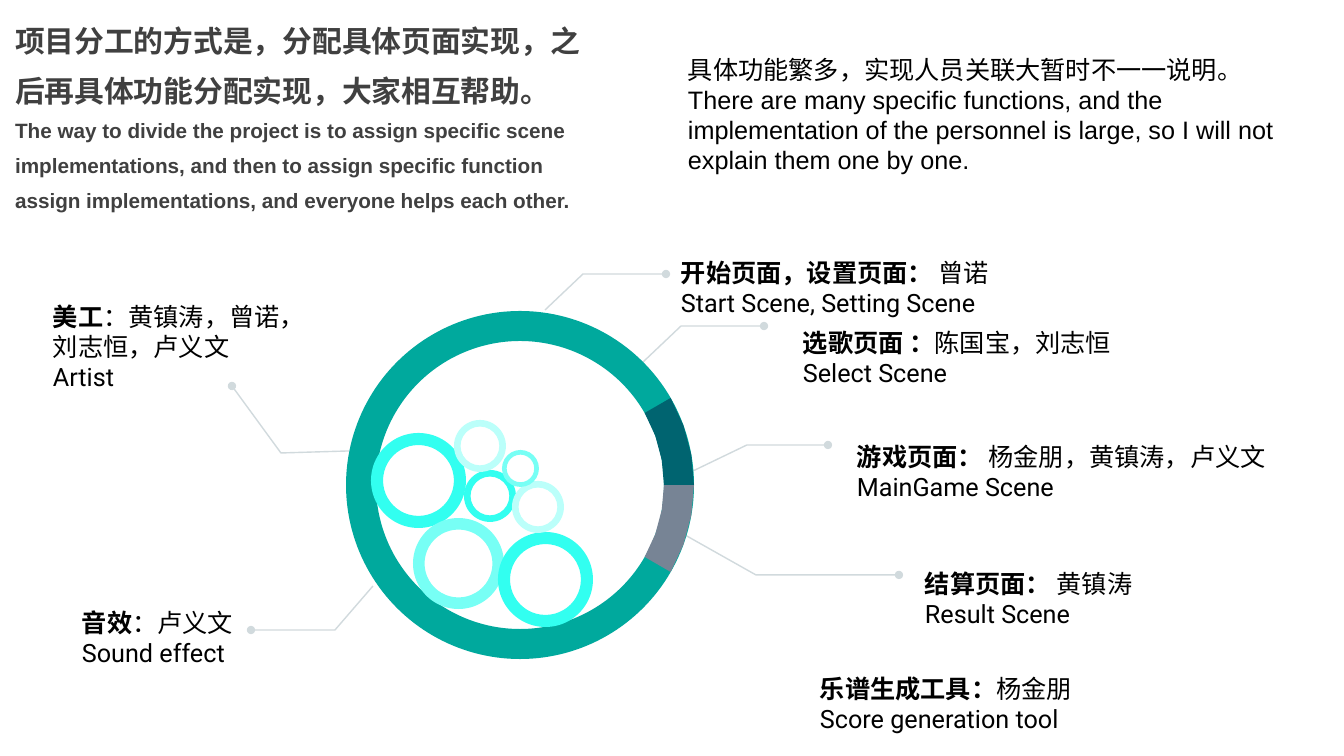
"""Build the slide that shows how scenes and tasks are divided among the team."""
from math import cos, radians, sin

from lxml.etree import SubElement
from pptx import Presentation
from pptx.dml.color import RGBColor
from pptx.enum.shapes import MSO_SHAPE
from pptx.enum.text import MSO_ANCHOR, MSO_AUTO_SIZE, PP_ALIGN
from pptx.oxml.ns import qn
from pptx.util import Emu, Pt

SCALE = 914400 / 100.8
SLIDE_SIZE = (1344, 756)
COLORS = {
    "teal": "00A99D", "deep teal": "006470", "slate": "778495",
    "aqua": "32FFF0", "light aqua": "77FFF5", "pale aqua": "BBFFFA",
    "leader": "D1DADD", "heading": "404040", "text": "000000",
}
HEADING_BOX = (5, 3, 591, 218)
HEADING = [
    ("项目分工的方式是，分配具体页面实现，之后再具体功能分配实现，大家相互帮助。", 21.3),
    ("The way to divide the project is to assign specific scene implementations, "
     "and then to assign specific function assign implementations, "
     "and everyone helps each other.", 14.8),
]
NOTE_BOX = (678, 49, 627, 132)
NOTE = [
    "具体功能繁多，实现人员关联大暂时不一一说明。",
    "There are many specific functions, and the implementation of the personnel "
    "is large, so I will not explain them one by one.",
]
ROLES = [
    ((671, 252, 333, 72), "开始页面，设置页面： ", ["曾诺"], "Start Scene, Setting Scene"),
    ((793, 322, 333, 72), "选歌页面 ：", ["陈国宝，刘志恒"], "Select Scene"),
    ((847, 436, 434, 72), "游戏页面： ", ["杨金朋，黄镇涛，卢义文"], "MainGame Scene"),
    ((915, 563, 231, 72), "结算页面： ", ["黄镇涛"], "Result Scene"),
    ((43, 296, 275, 102), "美工", ["：黄镇涛，曾诺，", "刘志恒，卢义文"], "Artist"),
    ((810, 668, 275, 72), "乐谱生成工具：", ["杨金朋"], "Score generation tool"),
    ((72, 602, 173, 72), "音效", ["：卢义文"], "Sound effect"),
]
LEADERS = [
    [(685, 535), (756, 575), (899, 575)],
    [(643, 362), (681, 326), (764, 326)],
    [(691, 472), (747, 445), (828, 445)],
    [(545, 310), (583, 274), (666, 274)],
    [(349, 451), (281, 453), (232, 386)],
    [(373, 586), (335, 630), (251, 630)],
]
RING_CENTER, RING_RADIUS, RING_WIDTH = (520, 485), 174, 30
SECTORS = [(0, 30, "slate"), (-30, 0, "deep teal")]
BUBBLES = [
    (371, 433, 95, "aqua"), (413, 518, 91, "light aqua"), (498, 532, 95, "aqua"),
    (464, 470, 52, "aqua"), (512, 481, 52, "pale aqua"),
    (502, 450, 37, "light aqua"), (454, 420, 52, "pale aqua"),
]


def px(*lengths):
    """Turn pixel lengths into EMU."""
    return [Emu(round(length * SCALE)) for length in lengths]


def color(name):
    """Look up a named colour."""
    return RGBColor.from_string(COLORS[name])


def fill_plain(shape, fill):
    """Give a shape a flat fill without outline or shadow."""
    shape.shadow.inherit = False
    shape.fill.solid()
    shape.fill.fore_color.rgb = color(fill)
    shape.line.fill.background()


def add_outline(slide, points, close):
    """Draw straight segments through pixel points."""
    start, *rest = [px(*point) for point in points]
    builder = slide.shapes.build_freeform(*start)
    builder.add_line_segments(rest, close=close)
    return builder.convert_to_shape()


def add_leader(slide, points):
    """Draw a thin bent line that ends in a dot."""
    leader = add_outline(slide, points, False)
    leader.shadow.inherit = False
    leader.fill.background()
    leader.line.color.rgb = color("leader")
    leader.line.width = Pt(1)
    SubElement(leader.element.spPr.find(qn("a:ln")), qn("a:tailEnd"), type="oval")


def add_donut(slide, left, top, size, fill, thickness=0.127):
    """Draw a round ring."""
    donut = slide.shapes.add_shape(MSO_SHAPE.DONUT, *px(left, top, size, size))
    donut.adjustments[0] = thickness
    fill_plain(donut, fill)


def add_sector(slide, start, end, fill):
    """Colour the part of the main ring between two angles."""
    def arc(radius, angles):
        return [(RING_CENTER[0] + radius * cos(radians(angle)),
                 RING_CENTER[1] + radius * sin(radians(angle))) for angle in angles]

    angles = range(start, end + 1, 10)
    points = arc(RING_RADIUS, angles) + arc(RING_RADIUS - RING_WIDTH, reversed(angles))
    fill_plain(add_outline(slide, points, True), fill)


def add_run(paragraph, text, size=18, font="Arial", bold=False, fill="text"):
    """Append formatted text to a paragraph."""
    run = paragraph.add_run()
    run.text = text
    run.font.size = Pt(size)
    run.font.name = font
    run.font.bold = bold
    run.font.color.rgb = color(fill)


def write_lines(frame, lines, wrap=True, auto_size=MSO_AUTO_SIZE.SHAPE_TO_FIT_TEXT,
                spacing=None):
    """Fill a text frame with paragraphs, each a list of (text, format) runs."""
    frame.word_wrap = wrap
    frame.auto_size = auto_size
    frame.vertical_anchor = MSO_ANCHOR.TOP
    for index, runs in enumerate(lines):
        paragraph = frame.add_paragraph() if index else frame.paragraphs[0]
        paragraph.alignment = PP_ALIGN.LEFT
        paragraph.line_spacing = spacing
        for text, style in runs:
            add_run(paragraph, text, **style)


def add_heading(slide):
    """Place and fill the title."""
    title = slide.shapes.title
    title.left, title.top, title.width, title.height = px(*HEADING_BOX)
    lines = [[(text, {"size": size, "bold": True, "fill": "heading"})]
             for text, size in HEADING]
    write_lines(title.text_frame, lines, auto_size=MSO_AUTO_SIZE.NONE, spacing=1.4)


def add_role(slide, box, role, people, english):
    """Label one task with the people responsible for it."""
    lines = [[(names, {})] for names in people]
    lines[0].insert(0, (role, {"bold": True}))
    lines.append([(english, {"font": "Roboto"})])
    write_lines(slide.shapes.add_textbox(*px(*box)).text_frame, lines, wrap=False)


def main():
    """Assemble and save the slide."""
    presentation = Presentation()
    presentation.slide_width, presentation.slide_height = px(*SLIDE_SIZE)
    slide = presentation.slides.add_slide(presentation.slide_layouts[5])
    add_heading(slide)
    for points in LEADERS:
        add_leader(slide, points)
    add_donut(slide, RING_CENTER[0] - RING_RADIUS, RING_CENTER[1] - RING_RADIUS,
              2 * RING_RADIUS, "teal", RING_WIDTH / RING_RADIUS / 2)
    for sector in SECTORS:
        add_sector(slide, *sector)
    for bubble in BUBBLES:
        add_donut(slide, *bubble)
    note = slide.shapes.add_textbox(*px(*NOTE_BOX))
    write_lines(note.text_frame, [[(text, {})] for text in NOTE])
    for role in ROLES:
        add_role(slide, *role)
    presentation.save("out.pptx")


if __name__ == "__main__":
    main()
